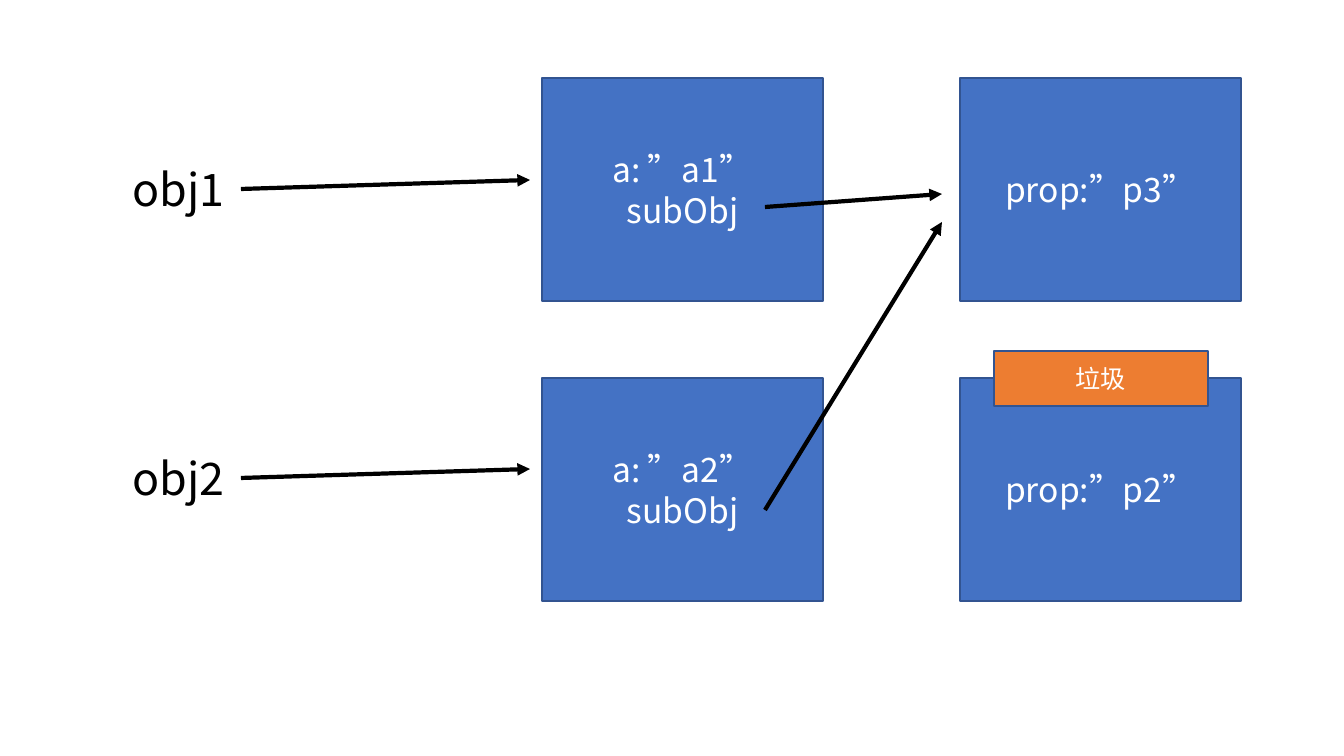
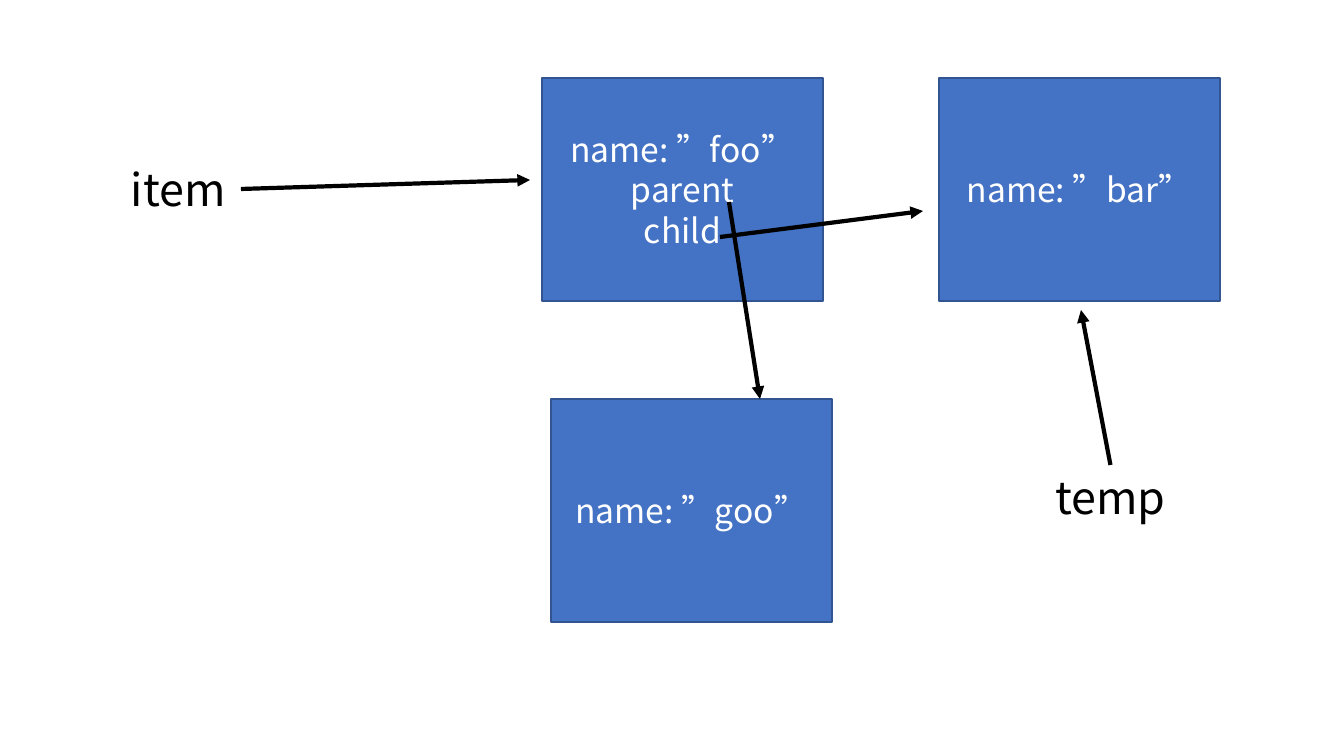
from lxml import etree
from pptx import Presentation
from pptx import util as u
from pptx.dml.color import RGBColor
from pptx.enum import shapes, text
from pptx.oxml.ns import qn

PX = u.Inches(1) / 100.8
FONT = "Noto Sans CJK SC"
BLUE = RGBColor(0x44, 0x72, 0xC4)
NAVY = RGBColor(0x32, 0x54, 0x91)
ORANGE = RGBColor(0xED, 0x7D, 0x31)
BLACK = RGBColor(0, 0, 0)
WHITE = RGBColor(0xFF, 0xFF, 0xFF)

LABEL_SIZE = 175, 65
OBJECT_SIZE = 281, 223
BADGE_SIZE = 214, 55


def add_block(s, lines, left, top, size, points, fill=None):
    """Add centred lines: a filled rectangle, or a plain label without a fill."""
    frame = [round(v * PX) for v in (left, top, *size)]
    if fill is None:
        sp = s.shapes.add_textbox(*frame)
    else:
        sp = s.shapes.add_shape(shapes.MSO_SHAPE.RECTANGLE, *frame)
        sp.shadow.inherit = False
        sp.fill.solid()
        sp.fill.fore_color.rgb = fill
        sp.line.color.rgb = NAVY
        sp.line.width = u.Pt(1)
    tf = sp.text_frame
    tf.word_wrap = True
    if fill is None:
        tf.auto_size = text.MSO_AUTO_SIZE.SHAPE_TO_FIT_TEXT
    else:
        tf.vertical_anchor = text.MSO_ANCHOR.MIDDLE
    for i, line in enumerate(lines):
        p = tf.add_paragraph() if i else tf.paragraphs[0]
        p.alignment = text.PP_ALIGN.CENTER
        r = p.add_run()
        r.text = line
        r.font.size = u.Pt(points)
        r.font.name = FONT
        r.font.color.rgb = BLACK if fill is None else WHITE
        etree.SubElement(r.font._element, qn("a:ea"), typeface=FONT)
    return sp


def add_arrow(s, *ends):
    cxn = s.shapes.add_connector(
        shapes.MSO_CONNECTOR.STRAIGHT, *[round(v * PX) for v in ends])
    cxn.line.color.rgb = BLACK
    cxn.line.width = u.Pt(3)
    etree.SubElement(cxn.line._get_or_add_ln(), qn("a:tailEnd"), type="triangle")
    etree.SubElement(cxn._element.spPr, qn("a:effectLst"))
    return cxn


prs = Presentation()
prs.slide_width = round(1344 * PX)
prs.slide_height = round(756 * PX)

SLIDES = [
    {
        "labels": [("obj1", 91, 157), ("obj2", 91, 446)],
        "objects": [
            (["a: ”a1”", "subObj"], 542, 78),
            (["prop:”p3”"], 960, 78),
            (["a: ”a2”", "subObj"], 542, 378),
            (["prop:”p2”"], 960, 378),
        ],
        "arrows": [
            (241, 189, 530, 180),
            (765, 207, 942, 194),
            (241, 478, 530, 469),
            (765, 510, 942, 222),
        ],
    },
    {
        "labels": [("item", 91, 157), ("temp", 1023, 465)],
        "objects": [
            (["name: ”foo”", "parent", "child"], 542, 78),
            (["name: ”bar”"], 939, 78),
            (["name: ”goo”"], 551, 399),
        ],
        "arrows": [
            (241, 189, 530, 180),
            (729, 202, 760, 399),
            (720, 237, 923, 211),
            (1111, 465, 1081, 310),
        ],
    },
]

for content in SLIDES:
    s = prs.slides.add_slide(prs.slide_layouts[6])
    labels = [add_block(s, [name], left, top, LABEL_SIZE, 32)
              for name, left, top in content["labels"]]
    for lines, left, top in content["objects"]:
        add_block(s, lines, left, top, OBJECT_SIZE, 24, BLUE)
    arrows = [add_arrow(s, *ends) for ends in content["arrows"]]

# The last arrow on the second slide rises from the top of "temp".
arrows[-1].begin_connect(labels[-1], 0)

add_block(prs.slides[0], ["垃圾"], 994, 351, BADGE_SIZE, 18, ORANGE)

prs.save("out.pptx")
